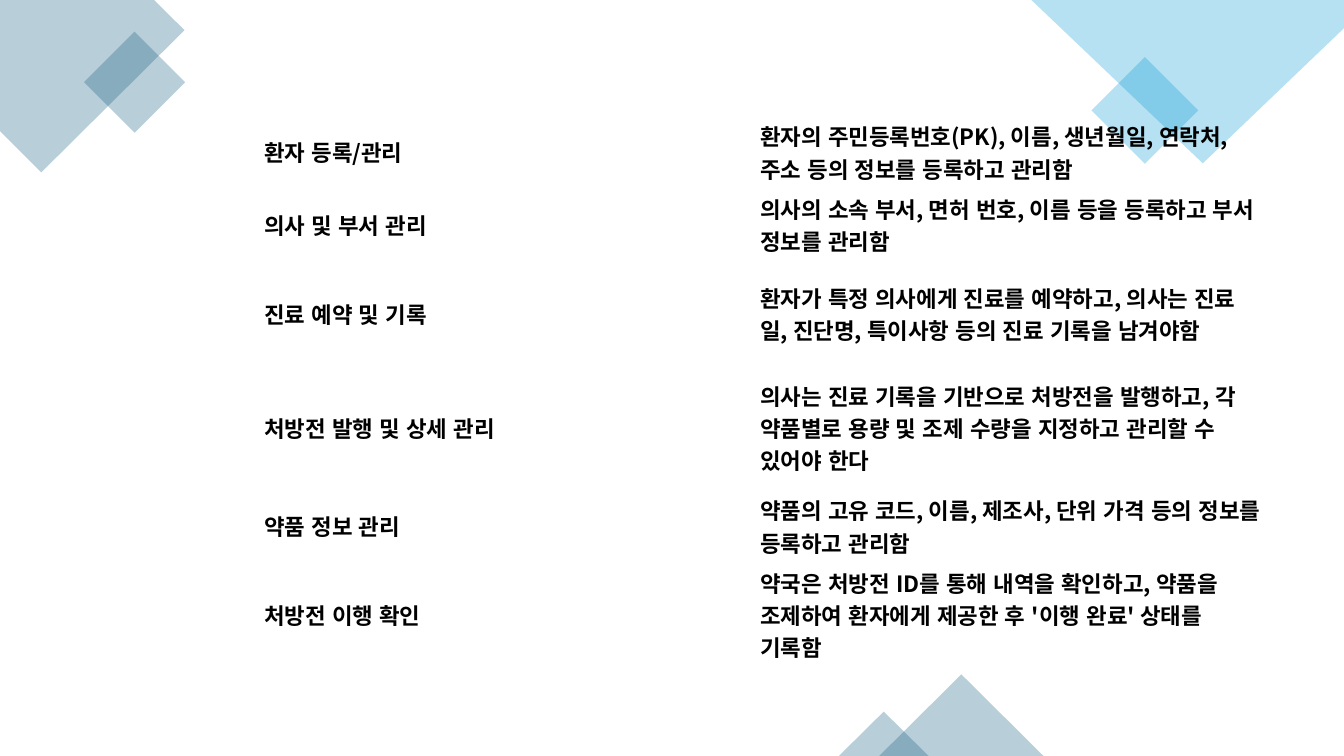
from dataclasses import dataclass

from lxml import etree
from pptx import Presentation
from pptx.dml.color import RGBColor
from pptx.enum.lang import MSO_LANGUAGE_ID
from pptx.enum.shapes import MSO_SHAPE
from pptx.enum.text import MSO_ANCHOR
from pptx.oxml.ns import qn
from pptx.util import Pt

PX = 9144  # 100 px to the inch
RECT = MSO_SHAPE.RECTANGLE
TRIANGLE = MSO_SHAPE.ISOSCELES_TRIANGLE
MIDDLE = MSO_ANCHOR.MIDDLE
KOREAN = MSO_LANGUAGE_ID.KOREAN

FONT = "Noto Sans CJK KR"
TEAL, SKY, BLACK = "156082", "0F9ED5", "000000"
ALPHA = 30
PLAIN_TABLE_STYLE = "{2D5ABB26-0587-4C30-8999-92F81FD0307C}"


@dataclass
class Polygon:
    points: list[tuple[int, int]]
    color: str


@dataclass
class Preset:
    kind: int
    x: int
    y: int
    w: int
    h: int
    color: str
    rotation: int = 0


@dataclass
class Requirement:
    name: str
    detail: str
    height: int


DECORATIONS = [
    Polygon([(153, 0), (0, 0), (0, 130), (41, 171), (183, 30)], TEAL),
    Preset(RECT, 98, 46, 71, 71, TEAL, 315),
    Preset(RECT, 1098, 72, 75, 75, SKY, 315),
    Polygon([(1333, 0), (1023, 0), (1193, 162), (1333, 28)], SKY),
    Preset(TRIANGLE, 872, 669, 163, 81, TEAL),
    Preset(TRIANGLE, 832, 706, 89, 44, TEAL),
]

COLUMNS = [183, 492, 517]
REQUIREMENTS = [
    Requirement("환자 등록/관리",
                "환자의 주민등록번호(PK), 이름, 생년월일, 연락처, 주소 등의 정보를 등록하고 관리함", 69),
    Requirement("의사 및 부서 관리",
                "의사의 소속 부서, 면허 번호, 이름 등을 등록하고 부서 정보를 관리함", 69),
    Requirement("진료 예약 및 기록",
                "환자가 특정 의사에게 진료를 예약하고, 의사는 진료일, 진단명, 특이사항 등의 진료 기록을 남겨야함", 96),
    Requirement("처방전 발행 및 상세 관리",
                "의사는 진료 기록을 기반으로 처방전을 발행하고, 각 약품별로 용량 및 조제 수량을 지정하고 관리할 수 있어야 한다", 123),
    Requirement("약품 정보 관리",
                "약품의 고유 코드, 이름, 제조사, 단위 가격 등의 정보를 등록하고 관리함", 69),
    Requirement("처방전 이행 확인",
                "약국은 처방전 ID를 통해 내역을 확인하고, 약품을 조제하여 환자에게 제공한 후 '이행 완료' 상태를 기록함", 96),
]


def px(n: int) -> int:
    return n * PX


def rgb(color: str) -> RGBColor:
    return RGBColor.from_string(color)


def draw_decoration(s, item: Polygon | Preset) -> None:
    if isinstance(item, Polygon):
        builder = s.shapes.build_freeform(*item.points[0], scale=PX)
        builder.add_line_segments(item.points[1:], close=True)
        sp = builder.convert_to_shape()
    else:
        sp = s.shapes.add_shape(item.kind, px(item.x), px(item.y), px(item.w), px(item.h))
        sp.rotation = item.rotation
    sp.shadow.inherit = False
    sp.line.fill.background()
    sp.fill.solid()
    sp.fill.fore_color.rgb = rgb(item.color)
    color = sp.fill._xPr.find(qn("a:solidFill"))[0]
    etree.SubElement(color, qn("a:alpha"), val=str(ALPHA * 1000))


def write_cell(cell, text: str) -> None:
    cell.fill.background()
    cell.vertical_anchor = MIDDLE
    cell.margin_left = cell.margin_right = px(9)
    cell.margin_top = cell.margin_bottom = px(4)
    if not text:
        return
    cell.text_frame.text = text
    r = cell.text_frame.paragraphs[0].runs[0]
    r.font.size = Pt(16)
    r.font.bold = True
    r.font.name = FONT
    r.font.language_id = KOREAN
    r.font.color.rgb = rgb(BLACK)
    etree.SubElement(r.font._element, qn("a:ea"), typeface=FONT)


def draw_table(s, x: int, y: int) -> None:
    height = sum(req.height for req in REQUIREMENTS)
    table = s.shapes.add_table(len(REQUIREMENTS), len(COLUMNS), px(x), px(y),
                               px(sum(COLUMNS)), px(height)).table
    table.first_row = table.horz_banding = False
    table._tbl.tblPr.find(qn("a:tableStyleId")).text = PLAIN_TABLE_STYLE
    for column, width in zip(table.columns, COLUMNS):
        column.width = px(width)
    for row, req in zip(table.rows, REQUIREMENTS):
        row.height = px(req.height)
        for cell, text in zip(row.cells, ("", req.name, req.detail)):
            write_cell(cell, text)


def main() -> None:
    prs = Presentation()
    prs.slide_width, prs.slide_height = px(1333), px(750)
    s = prs.slides.add_slide(prs.slide_layouts[6])
    for item in DECORATIONS:
        draw_decoration(s, item)
    draw_table(s, 70, 115)
    prs.save("out.pptx")


if __name__ == "__main__":
    main()
